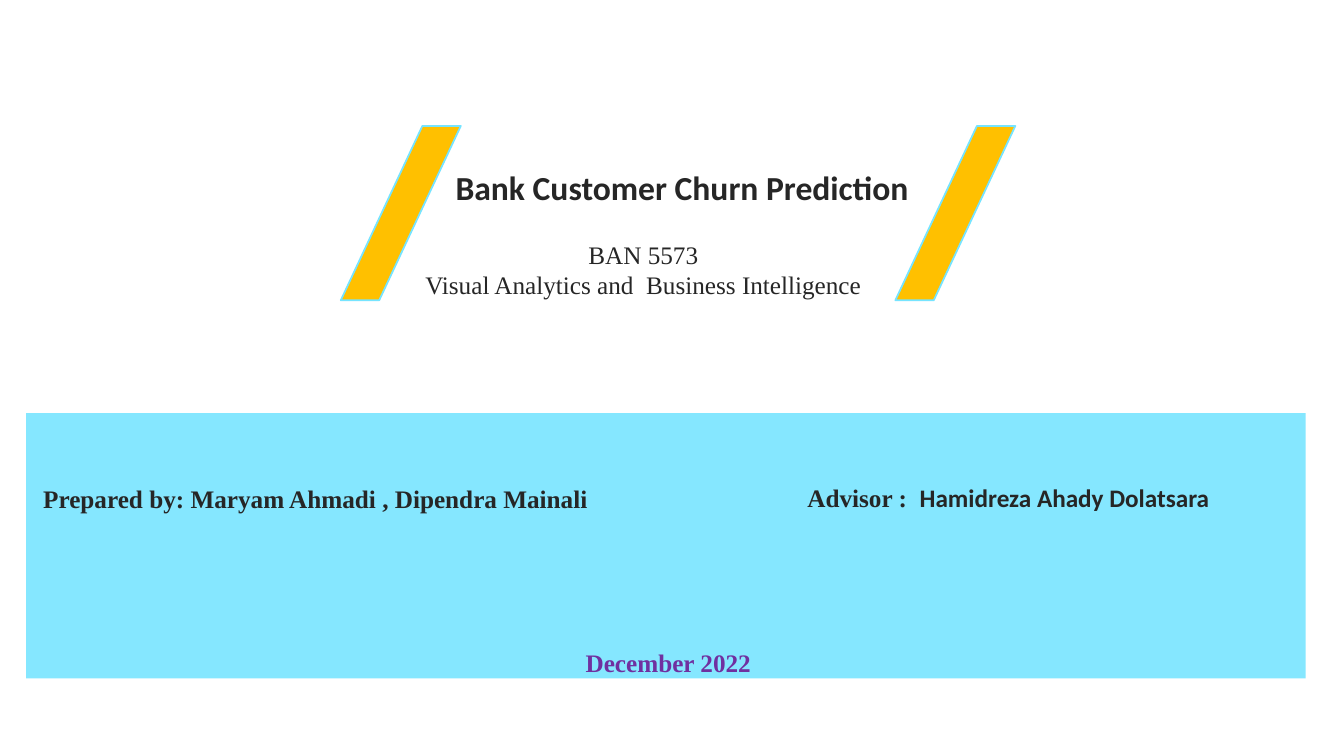
"""Build the title slide for a bank customer churn prediction project."""
from pptx import Presentation
from pptx.dml.color import RGBColor
from pptx.enum.shapes import MSO_SHAPE as SHAPE
from pptx.enum.text import PP_ALIGN as ALIGN
from pptx.util import Inches, Pt

COLORS = {"band": "85E7FF", "slash": "FFC000", "edge": "76E4FF",
          "ink": "262626", "date": "7030A0"}
SANS, SERIF = "Calibri", "Times New Roman"


def add_filled(kind, left, top, width, height, color):
    shape = slide.shapes.add_shape(
        kind, Inches(left), Inches(top), Inches(width), Inches(height))
    shape.shadow.inherit = False
    shape.fill.solid()
    shape.fill.fore_color.rgb = RGBColor.from_string(COLORS[color])
    return shape


def add_text(left, top, width, height, lines, size=18, color="ink", bold=True, align=ALIGN.LEFT):
    frame = slide.shapes.add_textbox(
        Inches(left), Inches(top), Inches(width), Inches(height)).text_frame
    frame.word_wrap = True
    for number, line in enumerate(lines):
        paragraph = frame.add_paragraph() if number else frame.paragraphs[0]
        paragraph.alignment = align
        for text, font_name in line:
            run = paragraph.add_run()
            run.text = text
            run.font.name = font_name
            run.font.size = Pt(size)
            run.font.bold = bold
            run.font.color.rgb = RGBColor.from_string(COLORS[color])


prs = Presentation()
prs.slide_width, prs.slide_height = Inches(13.33), Inches(7.5)
slide = prs.slides.add_slide(prs.slide_layouts[6])

band = add_filled(SHAPE.RECTANGLE, 0.26, 4.1, 12.69, 2.63, "band")
band.line.fill.background()

add_text(4.42, 1.61, 6.14, 0.5, [[("Bank Customer Churn Prediction", SANS)]], size=24)

for slash_left in (3.38, 8.88):
    slash = add_filled(SHAPE.PARALLELOGRAM, slash_left, 1.25, 1.19, 1.73, "slash")
    slash.adjustments[0] = 0.68
    slash.line.color.rgb = RGBColor.from_string(COLORS["edge"])
    slash.line.width = Pt(1.25)

add_text(5.71, 6.37, 1.97, 0.4, [[("December 2022", SERIF)]], color="date")
add_text(0.33, 4.75, 7.35, 0.4,
         [[("Prepared by: Maryam Ahmadi , Dipendra Mainali", SERIF)]])
add_text(7.91, 4.74, 4.94, 0.4,
         [[("Advisor :  ", SERIF), ("Hamidreza Ahady Dolatsara", SANS)]])
add_text(3.79, 2.32, 5.18, 0.71,
         [[("BAN 5573", SERIF)], [("Visual Analytics and  Business Intelligence", SERIF)]],
         bold=False, align=ALIGN.CENTER)

prs.save("out.pptx")
